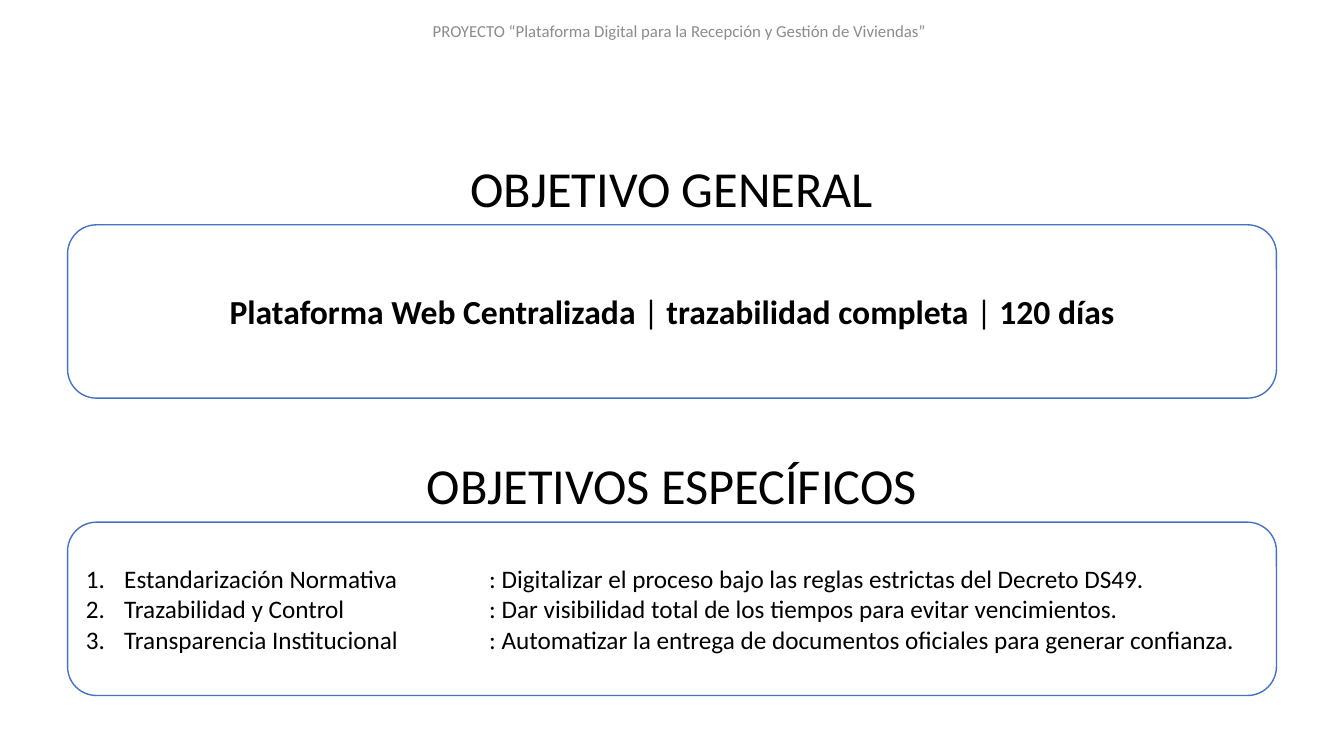
from dataclasses import dataclass

from lxml import etree
from pptx import Presentation
from pptx.dml.color import RGBColor
from pptx.enum import shapes, text
from pptx.oxml import ns
from pptx.util import Inches, Pt

FONT = "Calibri"
BLACK, GREY, WHITE, BLUE = "000000", "8C8C8C", "FFFFFF", "4472C4"
SLIDE_WIDTH, SLIDE_HEIGHT = 13.33, 7.5
HEADING_HEIGHT, PANEL_GAP = 0.71, 0.72
LIST_INDENT, DESCRIPTION_TAB = 0.38, 4.0


@dataclass
class Section:
    heading: str
    top: float


GENERAL = Section("OBJETIVO GENERAL", 1.51)
SPECIFIC = Section("OBJETIVOS ESPECÍFICOS", 4.46)

GENERAL_GOAL = ["Plataforma Web Centralizada", "trazabilidad completa", "120 días"]
SPECIFIC_GOALS = {
    "Estandarización Normativa": "Digitalizar el proceso bajo las reglas estrictas del Decreto DS49.",
    "Trazabilidad y Control": "Dar visibilidad total de los tiempos para evitar vencimientos.",
    "Transparencia Institucional": "Automatizar la entrega de documentos oficiales para generar confianza.",
}


def color(value: str) -> RGBColor:
    return RGBColor.from_string(value)


def place(box, left: float, top: float, width: float, height: float) -> None:
    box.left, box.top = Inches(left), Inches(top)
    box.width, box.height = Inches(width), Inches(height)


def add_text(para, words: str, *, size: float, fill: str = BLACK, bold: bool = False,
             align=text.PP_ALIGN.CENTER) -> None:
    para.alignment = align
    span = para.add_run()
    span.text = words
    span.font.name, span.font.size, span.font.bold = FONT, Pt(size), bold
    span.font.color.rgb = color(fill)


def write_heading(box, section: Section) -> None:
    place(box, 0, section.top, SLIDE_WIDTH, HEADING_HEIGHT)
    frame = box.text_frame
    frame.word_wrap = True
    frame.auto_size = text.MSO_AUTO_SIZE.SHAPE_TO_FIT_TEXT
    frame.vertical_anchor = text.MSO_ANCHOR.TOP
    add_text(frame.paragraphs[0], section.heading, size=36)


def add_panel(page, section: Section):
    """Draw the rounded box below a heading and return its text frame."""
    box = page.shapes.add_shape(shapes.MSO_SHAPE.ROUNDED_RECTANGLE, 0, 0, 0, 0)
    place(box, 0.67, section.top + PANEL_GAP, 11.99, 1.72)
    box.shadow.inherit = False
    box.fill.solid()
    box.fill.fore_color.rgb = color(WHITE)
    box.line.color.rgb = color(BLUE)
    box.line.width = Pt(1)
    box.text_frame.word_wrap = True
    box.text_frame.vertical_anchor = text.MSO_ANCHOR.MIDDLE
    return box.text_frame


def number_paragraph(para) -> None:
    """Give a paragraph automatic numbering and a tab stop for its description."""
    props = para._p.get_or_add_pPr()
    props.set("marL", str(Inches(LIST_INDENT)))
    props.set("indent", str(-Inches(LIST_INDENT)))
    etree.SubElement(props, ns.qn("a:buFont"), typeface="+mj-lt")
    etree.SubElement(props, ns.qn("a:buAutoNum"), type="arabicPeriod")
    tabs = etree.SubElement(props, ns.qn("a:tabLst"))
    etree.SubElement(tabs, ns.qn("a:tab"), pos=str(Inches(DESCRIPTION_TAB)), algn="l")


def main() -> None:
    deck = Presentation()
    deck.slide_width, deck.slide_height = Inches(SLIDE_WIDTH), Inches(SLIDE_HEIGHT)
    page = deck.slides.add_slide(deck.slide_layouts.get_by_name("Title Only"))

    write_heading(page.shapes.title, GENERAL)
    write_heading(page.shapes.add_textbox(0, 0, 0, 0), SPECIFIC)

    para = add_panel(page, GENERAL).paragraphs[0]
    for index, goal in enumerate(GENERAL_GOAL):
        if index:
            add_text(para, " | ", size=24)
        add_text(para, goal, size=24, bold=True)

    frame = add_panel(page, SPECIFIC)
    for index, (goal, description) in enumerate(SPECIFIC_GOALS.items()):
        para = frame.add_paragraph() if index else frame.paragraphs[0]
        number_paragraph(para)
        add_text(para, f"{goal}\t: {description}", size=18, align=text.PP_ALIGN.LEFT)

    project = page.shapes.add_textbox(0, 0, 0, 0)
    place(project, 4.15, 0.08, 5.18, 0.45)
    project.text_frame.word_wrap = True
    project.text_frame.vertical_anchor = text.MSO_ANCHOR.MIDDLE
    add_text(project.text_frame.paragraphs[0],
             "PROYECTO “Plataforma Digital para la Recepción y Gestión de Viviendas”",
             size=12, fill=GREY)

    deck.save("out.pptx")


if __name__ == "__main__":
    main()
